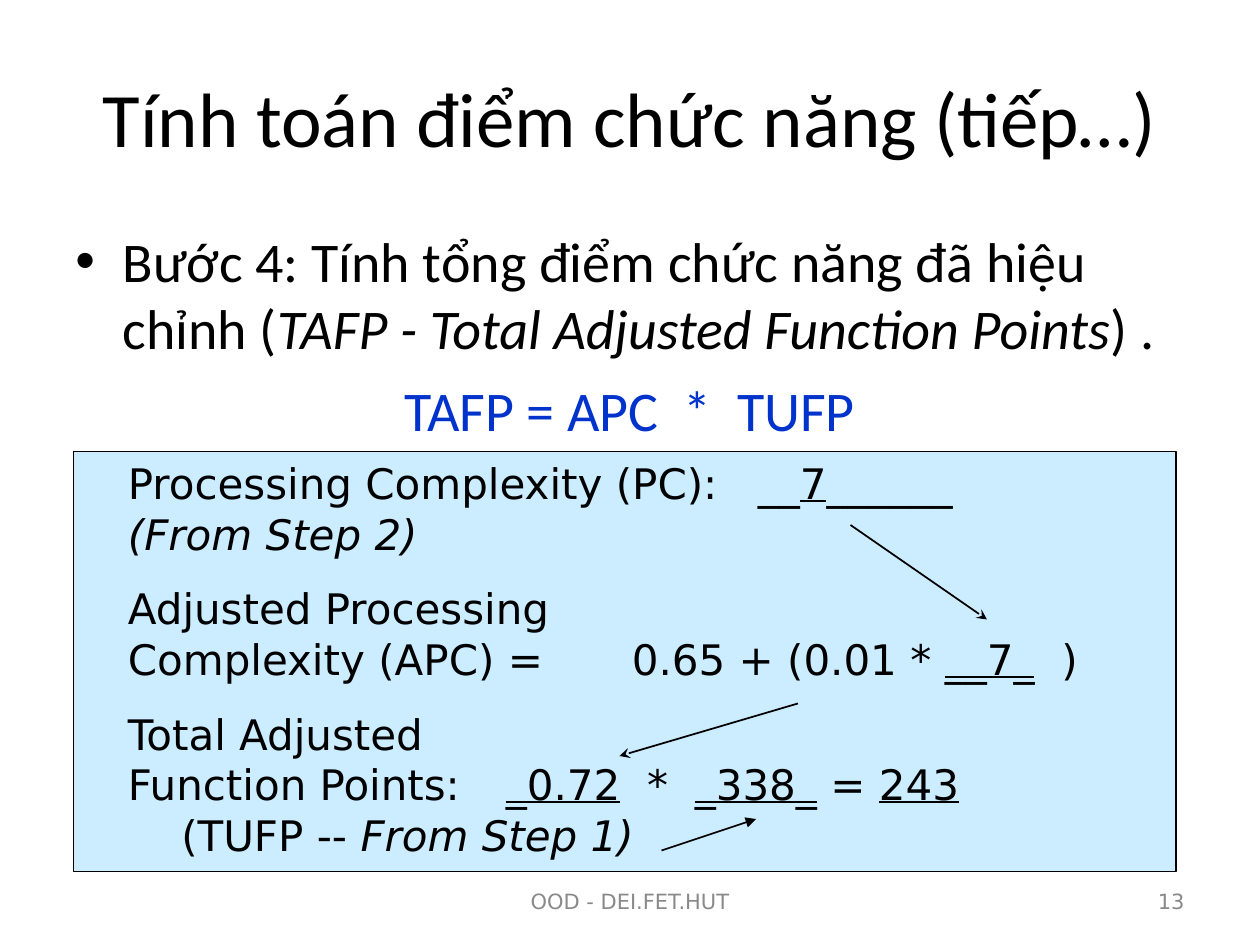
from dataclasses import dataclass

from lxml.etree import SubElement
from pptx import Presentation
from pptx.dml.color import RGBColor
from pptx.enum.shapes import MSO_CONNECTOR as Connector, MSO_SHAPE as Preset
from pptx.enum.text import MSO_ANCHOR as Anchor, PP_ALIGN as Align
from pptx.oxml.ns import qn
from pptx.util import Pt


@dataclass(frozen=True)
class Theme:
    black: str = "000000"
    formula: str = "0033CC"
    footer: str = "898989"
    panel: str = "CCECFF"
    heading_font: str = "Calibri"
    example_font: str = "DejaVu Sans"
    title_size: float = 44
    body_size: float = 32
    example_size: float = 24
    footer_size: float = 12


THEME = Theme()


@dataclass(frozen=True)
class Style:
    font: str
    size: float
    color: str = THEME.black


@dataclass(frozen=True)
class Run:
    text: str
    italic: bool = False
    underline: bool = False
    color: str = ""


@dataclass(frozen=True)
class Line:
    runs: tuple[Run, ...]
    align: Align = Align.LEFT
    before: float = 0
    indent: float = 0
    bullet: str = ""
    tab: float = 0


@dataclass(frozen=True)
class TextBlock:
    box: tuple[float, float, float, float]
    style: Style
    lines: tuple[Line, ...]
    anchor: Anchor = Anchor.TOP


@dataclass(frozen=True)
class Arrow:
    start: tuple[float, float]
    end: tuple[float, float]
    head: str


def format_line(paragraph, line: Line) -> None:
    paragraph.alignment = line.align
    paragraph.space_before = Pt(line.before)
    props = paragraph._p.get_or_add_pPr()
    if line.indent:
        props.set("marL", str(Pt(line.indent)))
    if line.bullet:
        props.set("indent", str(-Pt(line.indent)))
        SubElement(props, qn("a:buFont"), typeface="Arial")
        SubElement(props, qn("a:buChar"), char=line.bullet)
    if line.tab:
        stops = SubElement(props, qn("a:tabLst"))
        SubElement(stops, qn("a:tab"), pos=str(Pt(line.tab)), algn="l")


def draw_text(shapes, block: TextBlock) -> None:
    frame = shapes.add_textbox(*map(Pt, block.box)).text_frame
    frame.word_wrap = True
    frame.vertical_anchor = block.anchor
    for index, line in enumerate(block.lines):
        paragraph = frame.add_paragraph() if index else frame.paragraphs[0]
        format_line(paragraph, line)
        for part in line.runs:
            run = paragraph.add_run()
            run.text = part.text
            font = run.font
            font.name, font.size = block.style.font, Pt(block.style.size)
            font.italic, font.underline = part.italic, part.underline
            font.color.rgb = RGBColor.from_string(part.color or block.style.color)


def draw_panel(shapes, box: tuple[float, float, float, float]) -> None:
    panel = shapes.add_shape(Preset.RECTANGLE, *map(Pt, box))
    panel.shadow.inherit = False
    panel.fill.solid()
    panel.fill.fore_color.rgb = RGBColor.from_string(THEME.panel)
    panel.line.color.rgb = RGBColor.from_string(THEME.black)
    panel.line.width = Pt(1)


def draw_arrow(shapes, arrow: Arrow) -> None:
    connector = shapes.add_connector(
        Connector.STRAIGHT, *map(Pt, arrow.start + arrow.end))
    connector.line.color.rgb = RGBColor.from_string(THEME.black)
    connector.line.width = Pt(1)
    SubElement(connector.line._get_or_add_ln(), qn("a:tailEnd"), type=arrow.head)
    SubElement(connector._element.spPr, qn("a:effectLst"))


# Content
TITLE = TextBlock(
    (36, 21.6, 648, 90), Style(THEME.heading_font, THEME.title_size),
    (Line((Run("Tính toán điểm chức năng (tiếp…)"),), Align.CENTER),),
    Anchor.MIDDLE)

STEP = TextBlock(
    (36, 126, 648, 356.4), Style(THEME.heading_font, THEME.body_size),
    (Line((Run("Bước 4: Tính tổng điểm chức năng đã hiệu chỉnh ("),
           Run("TAFP - Total Adjusted Function Points", italic=True),
           Run(") .")), before=8, indent=27, bullet="•"),
     Line((Run("TAFP = APC  *  TUFP", color=THEME.formula),),
          Align.CENTER, before=8)))

FOOTER_STYLE = Style(THEME.example_font, THEME.footer_size, THEME.footer)
FOOTER = TextBlock(
    (246, 500.4, 228, 28.8), FOOTER_STYLE,
    (Line((Run("OOD - DEI.FET.HUT"),), Align.CENTER),), Anchor.MIDDLE)
PAGE_NUMBER = TextBlock(
    (516, 500.4, 168, 28.8), FOOTER_STYLE,
    (Line((Run("13"),), Align.RIGHT),), Anchor.MIDDLE)

PANEL_BOX = (42, 258, 630, 240)
STEP_GAP = 14
CALCULATION = TextBlock(
    (66, 258, 603, 237.6), Style(THEME.example_font, THEME.example_size),
    (Line((Run("Processing Complexity (PC):\t__"), Run("7", underline=True),
           Run("______")), tab=360),
     Line((Run("(From Step 2)", italic=True),)),
     Line((Run("Adjusted Processing"),), before=STEP_GAP),
     Line((Run("Complexity (APC) =\t0.65 + (0.01 * "),
           Run("__7_", underline=True), Run("  )")), tab=288),
     Line((Run("Total Adjusted"),), before=STEP_GAP),
     Line((Run("Function Points:\t"), Run("_0.72", underline=True),
           Run("  *  "), Run("_338_", underline=True),
           Run(" = "), Run("243", underline=True)), tab=216),
     Line((Run("(TUFP -- "), Run("From Step 1)", italic=True)), indent=30.5)))

ARROWS = (
    Arrow((486, 300), (564, 354), "stealth"),
    Arrow((456, 402), (354, 432), "stealth"),
    Arrow((378, 486), (432, 468), "triangle"),
)


def main() -> None:
    deck = Presentation()
    deck.slide_width, deck.slide_height = Pt(720), Pt(540)
    slide = deck.slides.add_slide(deck.slide_layouts[6])

    # Title, step and footer
    for block in (TITLE, STEP, FOOTER, PAGE_NUMBER):
        draw_text(slide.shapes, block)

    # Worked example
    example = slide.shapes.add_group_shape().shapes
    draw_panel(example, PANEL_BOX)
    draw_text(example, CALCULATION)
    for arrow in ARROWS:
        draw_arrow(example, arrow)

    deck.save("out.pptx")


if __name__ == "__main__":
    main()
